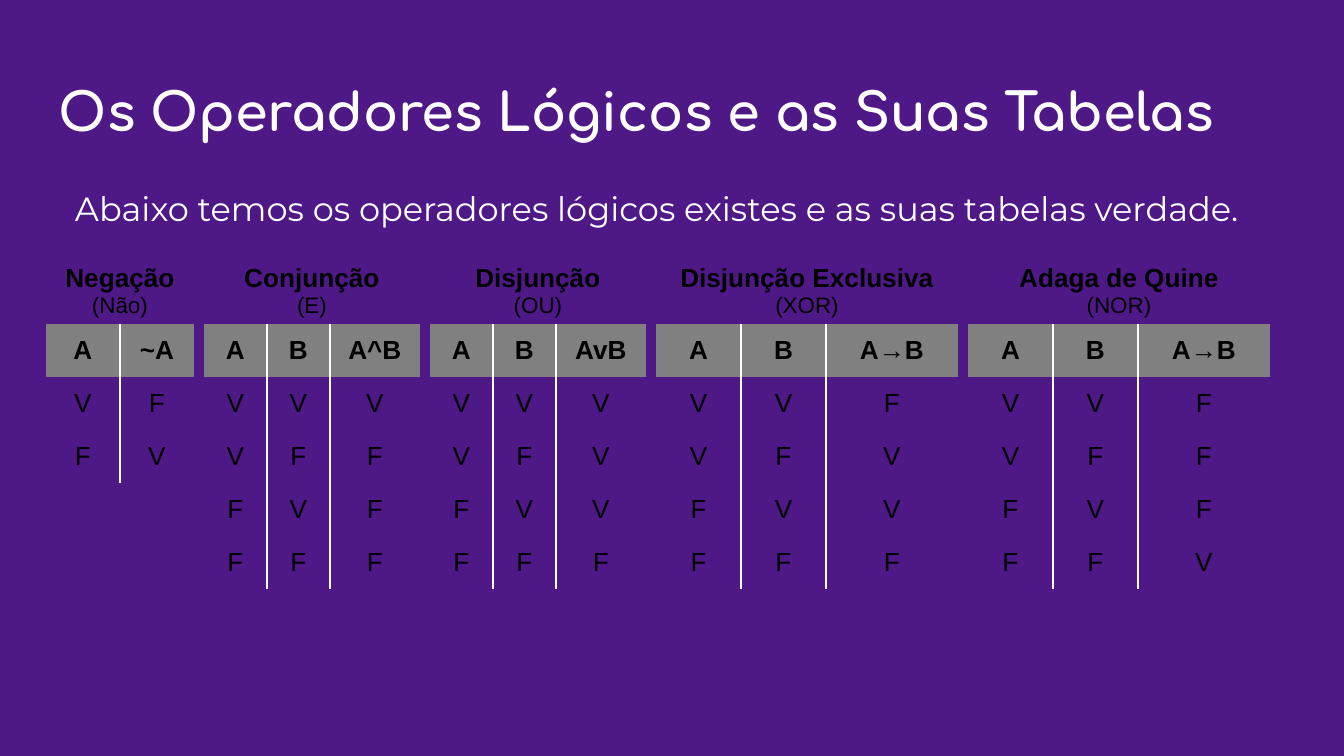
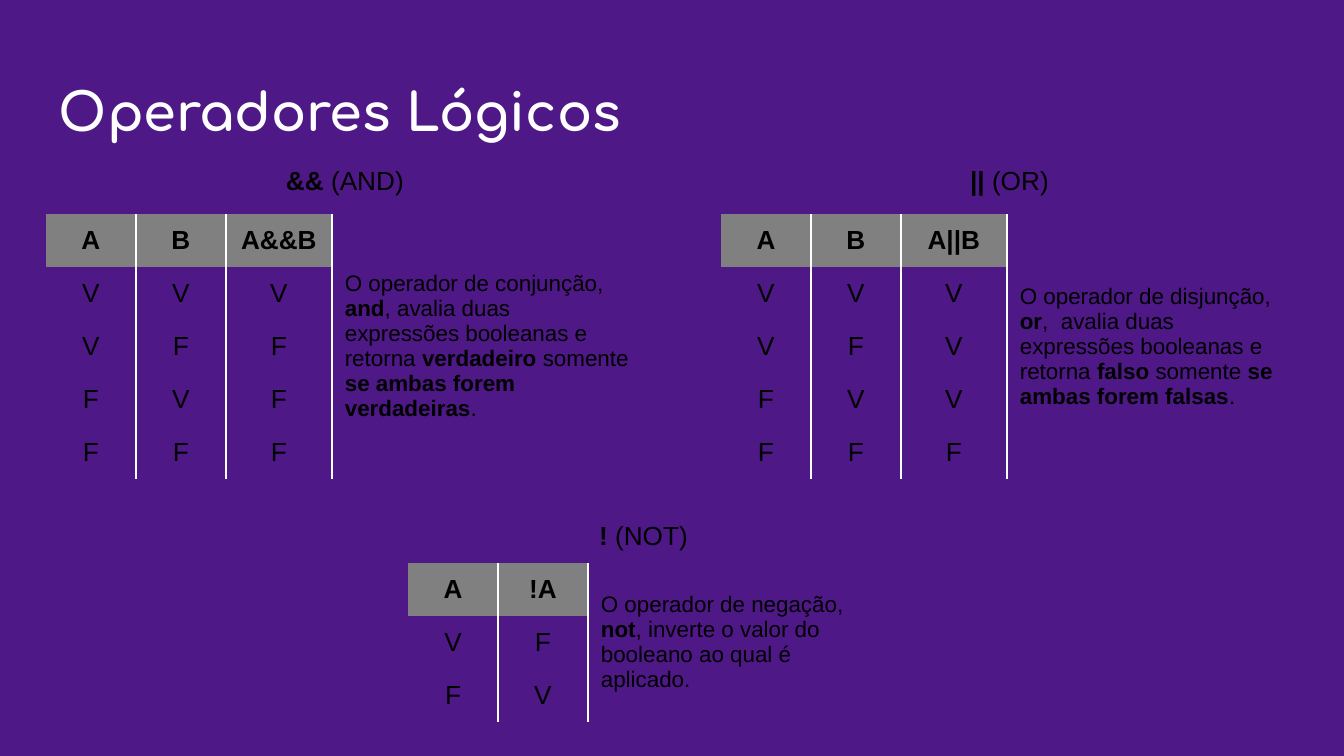
"""Builds two slides with the truth tables of the logical operators."""
from lxml.etree import SubElement
from pptx import Presentation
from pptx.dml.color import RGBColor
from pptx.enum.text import MSO_ANCHOR as Anchor, MSO_AUTO_SIZE as AutoSize, PP_ALIGN as Align
from pptx.oxml.ns import qn
from pptx.util import Emu, Pt

PX_PER_INCH = 134.4
PURPLE, WHITE, BLACK, GRAY = "4E1887", "FFFFFF", "000000", "808080"
TITLE_FONT, BODY_FONT, TABLE_FONT = "Comfortaa", "Montserrat", "Arial"
PLAIN_TABLE = "{2D5ABB26-0587-4C30-8999-92F81FD0307C}"
LEFT, WIDTH, INSET, ROW = 46, 1253, 13, 53


def px(length):
    return Emu(round(length * 914400 / PX_PER_INCH))


def color(code):
    return RGBColor.from_string(code)


class Deck:
    def __init__(self):
        self.prs = Presentation()
        self.prs.slide_width, self.prs.slide_height = px(1344), px(756)
        background = self.prs.slide_master.background.fill
        background.solid()
        background.fore_color.rgb = color(PURPLE)
        self.slide = None

    def add_slide(self, heading):
        self.slide = self.prs.slides.add_slide(self.prs.slide_layouts[5])
        title = self.slide.shapes.title
        title.left, title.top, title.width, title.height = map(px, (LEFT, 66, WIDTH, 85))
        self.fit_frame(title.text_frame)
        self.add_runs(title.text_frame.paragraphs[0], f"**{heading}**", 28, TITLE_FONT, WHITE)

    def fit_frame(self, frame):
        frame.word_wrap = True
        frame.auto_size = AutoSize.NONE
        frame.vertical_anchor = Anchor.TOP
        frame.margin_left = frame.margin_right = px(INSET)
        frame.margin_top = frame.margin_bottom = px(INSET)

    def add_runs(self, paragraph, text, size, font=TABLE_FONT, ink=BLACK, align=Align.LEFT):
        paragraph.alignment = align
        for index, part in enumerate(text.split("**")):
            if part:
                run = paragraph.add_run()
                run.text = part
                run.font.size, run.font.name = Pt(size), font
                run.font.bold = index % 2 == 1
                run.font.color.rgb = color(ink)

    def intro(self, text, top, height):
        box = self.slide.shapes.add_textbox(px(LEFT), px(top), px(WIDTH), px(height))
        self.fit_frame(box.text_frame)
        paragraph = box.text_frame.paragraphs[0]
        paragraph.line_spacing = 1.15
        paragraph._p.get_or_add_pPr().set("marL", str(px(16)))
        self.add_runs(paragraph, text, 18, BODY_FONT, WHITE)

    def rule_side(self, cell, side):
        line = SubElement(cell._tc.get_or_add_tcPr(), qn(f"a:{side}"), w=str(Pt(1)))
        fill = SubElement(line, qn("a:solidFill"))
        SubElement(fill, qn("a:srgbClr"), val=WHITE)

    def fill_cell(self, cell, lines, align=Align.CENTER):
        cell.vertical_anchor = Anchor.MIDDLE
        cell.margin_left = cell.margin_right = px(INSET)
        cell.margin_top = cell.margin_bottom = px(5)
        frame = cell.text_frame
        for index, (text, size) in enumerate(lines):
            paragraph = frame.add_paragraph() if index else frame.paragraphs[0]
            self.add_runs(paragraph, text, size, align=align)

    def truth_table(self, left, top, columns, caption, caption_height, header, values, note=None):
        last = len(columns) - 1
        heights = [caption_height] + [ROW] * (len(values) + 1)
        frame = self.slide.shapes.add_table(
            len(heights), len(columns), px(left), px(top), px(sum(columns)), px(sum(heights)))
        table = frame.table
        table.first_row = table.horz_banding = False
        table._tbl.tblPr.find(qn("a:tableStyleId")).text = PLAIN_TABLE
        for column, width in zip(table.columns, columns):
            column.width = px(width)
        for row, height in zip(table.rows, heights):
            row.height = px(height)

        table.cell(0, 0).merge(table.cell(0, last))
        self.fill_cell(table.cell(0, 0), caption)
        for r, texts in enumerate([[f"**{name}**" for name in header], *values], 1):
            for c in range(last + 1):
                cell = table.cell(r, c)
                if c > 0:
                    self.rule_side(cell, "lnL")
                if c < last:
                    self.rule_side(cell, "lnR")
                if c >= len(texts):
                    continue
                if r == 1:
                    cell.fill.solid()
                    cell.fill.fore_color.rgb = color(GRAY)
                self.fill_cell(cell, [(texts[c], 14)])
        if note:
            table.cell(1, last).merge(table.cell(len(values) + 1, last))
            self.fill_cell(table.cell(1, last), [(note, 12)], Align.LEFT)


def operators_slide(deck):
    deck.add_slide("Os Operadores Lógicos e as Suas Tabelas")
    deck.intro("Abaixo temos os operadores lógicos existes e as suas tabelas verdade.", 169, 67)
    narrow, wide = (63, 63, 90), (85, 85, 132)
    operators = [
        ("Negação", "(Não)", (74, 74), "A ~A", "VF FV"),
        ("Conjunção", "(E)", narrow, "A B A^B", "VVV VFF FVF FFF"),
        ("Disjunção", "(OU)", narrow, "A B AvB", "VVV VFV FVV FFF"),
        ("Disjunção Exclusiva", "(XOR)", wide, "A B A→B", "VVF VFV FVV FFF"),
        ("Adaga de Quine", "(NOR)", wide, "A B A→B", "VVF VFF FVF FFV"),
    ]
    left, gap = LEFT, 10
    for operator, symbol, columns, header, values in operators:
        caption = [(f"**{operator}**", 14), (symbol, 12)]
        deck.truth_table(left, 257, columns, caption, 67, header.split(), values.split())
        left += sum(columns) + gap


def syntax_slide(deck):
    deck.add_slide("Operadores Lógicos")
    operators = [
        (408, 510, (90, 90, 291), "**! **(NOT)", 53, "A !A", "VF FV",
         "O operador de negação, **not**, inverte o valor do booleano ao qual é aplicado."),
        (LEFT, 149, (90, 90, 106, 312), "**&& **(AND)", 65, "A B A&&B", "VVV VFF FVF FFF",
         "O operador de conjunção, **and**, avalia duas expressões booleanas e retorna "
         "**verdadeiro** somente **se ambas forem verdadeiras**."),
        (721, 149, (90, 90, 106, 291), "**||** (OR)", 65, "A B A||B", "VVV VFV FVV FFF",
         "O operador de disjunção, **or**,  avalia duas expressões booleanas e retorna "
         "**falso** somente **se ambas forem falsas**."),
    ]
    for left, top, columns, caption, height, header, values, note in operators:
        deck.truth_table(left, top, columns, [(caption, 14)], height,
                         header.split(), values.split(), note)


def main():
    deck = Deck()
    operators_slide(deck)
    syntax_slide(deck)
    deck.prs.save("out.pptx")


if __name__ == "__main__":
    main()
